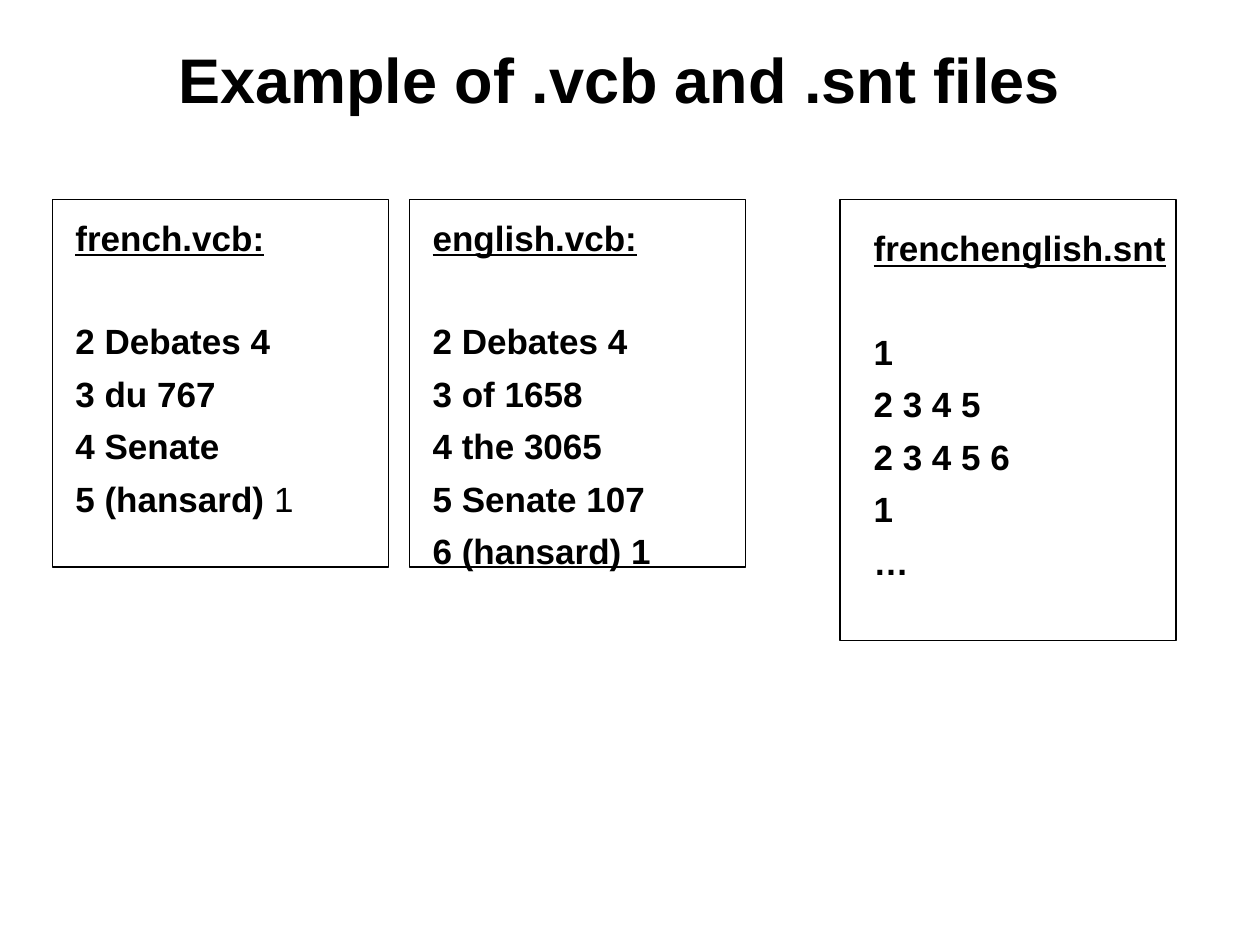
from pptx import Presentation, util as u
from pptx.dml.color import RGBColor
from pptx.enum import shapes, text
from pptx.oxml.ns import qn
from lxml import etree

COLORS = {"ink": "000000", "paper": "FFFFFF"}
FONT = "Arial"
CELL = u.Inches(1) // 12  # grid of 120 columns by 90 rows
INK = RGBColor.from_string(COLORS["ink"])


class Page:
    def __init__(self, deck):
        self.slide = deck.slides.add_slide(deck.slide_layouts[3])
        fill = self.slide.background.fill
        fill.solid()
        fill.fore_color.rgb = RGBColor.from_string(COLORS["paper"])
        self.title_box, *self.bodies = self.slide.placeholders

    def place(self, shape, area):
        shape.left, shape.top, shape.width, shape.height = (n * CELL for n in area)

    def style(self, run, size, bold=True, under=False):
        font = run.font
        font.name, font.size, font.bold = FONT, u.Pt(size), bold
        font.underline = under
        font.color.rgb = INK

    def title(self, words, area):
        box = self.title_box
        self.place(box, area)
        frame = box.text_frame
        frame.text = words
        frame.auto_size = text.MSO_AUTO_SIZE.NONE
        frame.vertical_anchor = text.MSO_ANCHOR.MIDDLE
        para = frame.paragraphs[0]
        para.alignment = text.PP_ALIGN.CENTER
        self.style(para.runs[0], 36)

    def listing(self, box, lines, area):
        """Fill a box with an underlined file name and its lines below a gap."""
        self.place(box, area)
        frame = box.text_frame
        frame.text = "\n".join(lines)
        frame.word_wrap = True
        frame.auto_size = text.MSO_AUTO_SIZE.NONE
        frame.vertical_anchor = text.MSO_ANCHOR.TOP
        for row, para in enumerate(frame.paragraphs):
            props = para._p.get_or_add_pPr()
            props.set("marL", str(u.Inches(0.38)))
            props.set("indent", str(-u.Inches(0.38)))
            para.space_before = u.Pt({0: 0, 1: 35}.get(row, 6))
            etree.SubElement(props, qn("a:buNone"))
            self.style(para.runs[0], 20, under=row == 0)
        return frame

    def border(self, area):
        box = self.slide.shapes.add_shape(
            shapes.MSO_SHAPE.RECTANGLE, *(n * CELL for n in area))
        box.shadow.inherit = False
        box.fill.background()
        box.line.color.rgb = INK
        box.line.width = u.Pt(0.75)


def main():
    deck = Presentation()
    deck.slide_width, deck.slide_height = 120 * CELL, 90 * CELL
    page = Page(deck)
    page.title("Example of .vcb and .snt files", (5, 0, 108, 15))

    english, pairs = page.bodies
    page.listing(english, ["english.vcb:", "2 Debates 4", "3 of 1658", "4 the 3065",
                           "5 Senate 107", "6 (hansard) 1"], (40, 20, 33, 37))
    page.listing(pairs, ["frenchenglish.snt", "1", "2 3 4 5", "2 3 4 5 6", "1", "…"],
                 (82, 21, 31, 41))
    french = page.slide.shapes.add_textbox(0, 0, CELL, CELL)
    frame = page.listing(french, ["french.vcb:", "2 Debates 4", "3 du 767", "4 Senate",
                                  "5 (hansard)"], (6, 20, 33, 34))
    count = frame.paragraphs[-1].add_run()
    count.text = " 1"
    page.style(count, 20, bold=False)

    for left, height in ((5, 35), (39, 35), (80, 42)):
        page.border((left, 19, 32, height))
    deck.save("out.pptx")


if __name__ == "__main__":
    main()
